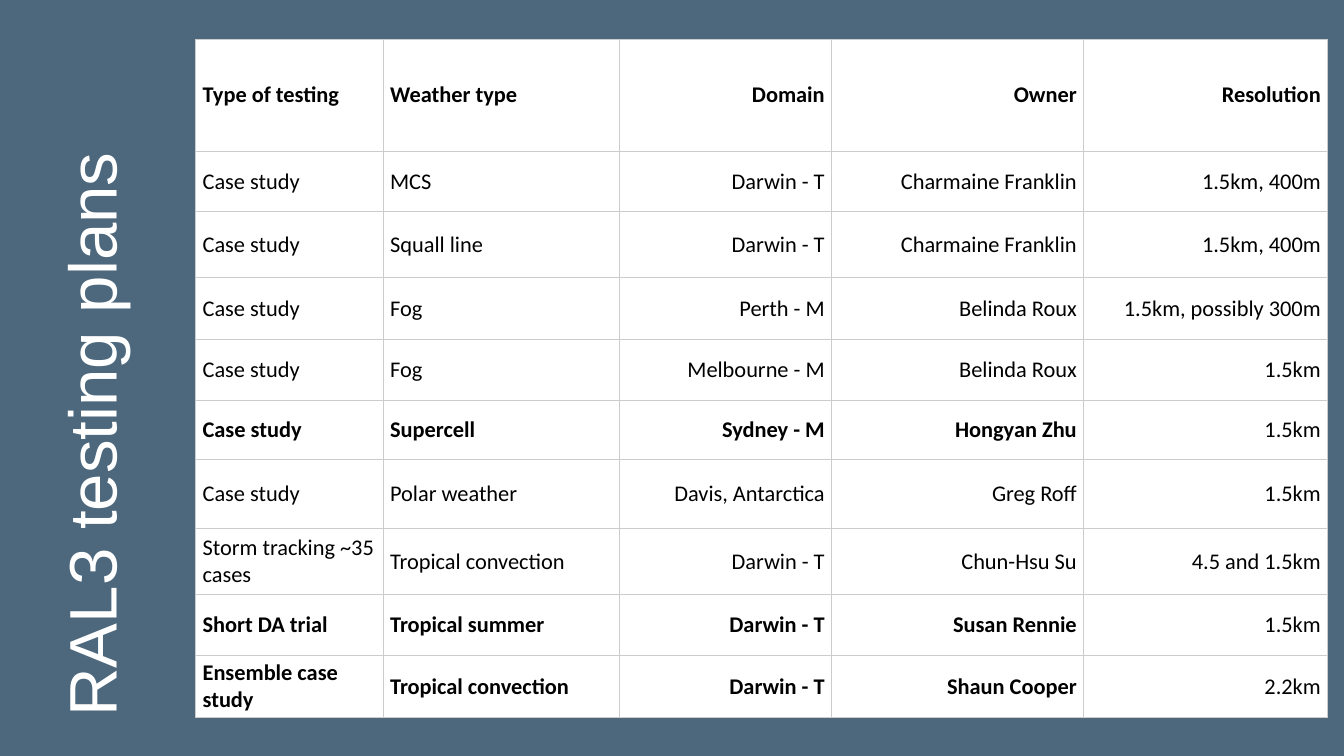
from lxml.etree import SubElement
from pptx import Presentation
from pptx.dml.color import RGBColor
from pptx.enum.text import MSO_ANCHOR, MSO_AUTO_SIZE, PP_ALIGN
from pptx.oxml.ns import qn
from pptx.util import Inches, Pt

TITLE = "RAL3 testing plans"
PLANS = [
    ("Type of testing", "Weather type", "Domain", "Owner", "Resolution"),
    ("Case study", "MCS", "Darwin - T", "Charmaine Franklin", "1.5km, 400m"),
    ("Case study", "Squall line", "Darwin - T", "Charmaine Franklin", "1.5km, 400m"),
    ("Case study", "Fog", "Perth - M", "Belinda Roux", "1.5km, possibly 300m"),
    ("Case study", "Fog", "Melbourne - M", "Belinda Roux", "1.5km"),
    ("Case study", "Supercell", "Sydney - M", "Hongyan Zhu", "1.5km"),
    ("Case study", "Polar weather", "Davis, Antarctica", "Greg Roff", "1.5km"),
    ("Storm tracking ~35 cases", "Tropical convection", "Darwin - T", "Chun-Hsu Su", "4.5 and 1.5km"),
    ("Short DA trial", "Tropical summer", "Darwin - T", "Susan Rennie", "1.5km"),
    ("Ensemble case study", "Tropical convection", "Darwin - T", "Shaun Cooper", "2.2km"),
]
BOLD_ROWS = {5, 8, 9}
COLUMN_WIDTHS = [1.86, 2.34, 2.11, 2.5, 2.42]
ROW_HEIGHTS = [1.11, 0.6, 0.65, 0.62, 0.6, 0.59, 0.68, 0.66, 0.6, 0.62]
RESOLUTION_COLUMN = 4
BACKGROUND, WHITE, BLACK, BORDER = "4D687D", "FFFFFF", "000000", "CCCCCC"


def color(value):
    return RGBColor.from_string(value)


def style_font(font, name, size, value, bold=False):
    font.name = name
    font.size = Pt(size)
    font.bold = bold
    font.color.rgb = color(value)


def add_borders(cell):
    properties = cell._tc.get_or_add_tcPr()
    for side in ("a:lnL", "a:lnR", "a:lnT", "a:lnB"):
        line = SubElement(properties, qn(side), w=str(Pt(0.75)))
        fill = SubElement(line, qn("a:solidFill"))
        SubElement(fill, qn("a:srgbClr"), val=BORDER)


def add_title(slide):
    title = slide.shapes.title
    title.left, title.top = Inches(-1.73), Inches(3.44)
    title.width, title.height = Inches(5.83), Inches(1.51)
    title.rotation = 270
    frame = title.text_frame
    frame.text = TITLE
    frame.word_wrap = True
    frame.auto_size = MSO_AUTO_SIZE.NONE
    frame.vertical_anchor = MSO_ANCHOR.TOP
    frame.margin_left = frame.margin_right = frame.margin_bottom = 0
    frame.margin_top = Inches(0.06)
    paragraph = frame.paragraphs[0]
    paragraph.alignment = PP_ALIGN.LEFT
    style_font(paragraph.font, "Arial", 48, WHITE)


def fill_cell(cell, text, row, column):
    add_borders(cell)
    cell.fill.solid()
    cell.fill.fore_color.rgb = color(WHITE)
    cell.vertical_anchor = MSO_ANCHOR.MIDDLE
    cell.margin_left = cell.margin_right = Inches(0.07)
    cell.margin_top = cell.margin_bottom = Inches(0.03)
    cell.text = text
    paragraph = cell.text_frame.paragraphs[0]
    paragraph.alignment = PP_ALIGN.LEFT if column < 2 else PP_ALIGN.RIGHT
    bold = row == 0 or (row in BOLD_ROWS and column != RESOLUTION_COLUMN)
    style_font(paragraph.font, "Calibri", 16, BLACK, bold)


def add_plans(slide):
    table = slide.shapes.add_table(
        len(PLANS), len(COLUMN_WIDTHS), Inches(1.94), Inches(0.39),
        Inches(sum(COLUMN_WIDTHS)), Inches(sum(ROW_HEIGHTS))).table
    table.first_row = table.horz_banding = False
    for column, width in zip(table.columns, COLUMN_WIDTHS):
        column.width = Inches(width)
    for row, height in zip(table.rows, ROW_HEIGHTS):
        row.height = Inches(height)
    for row, plan in enumerate(PLANS):
        for column, text in enumerate(plan):
            fill_cell(table.cell(row, column), text, row, column)


def main():
    presentation = Presentation()
    presentation.slide_width, presentation.slide_height = Inches(13.33), Inches(7.5)
    slide = presentation.slides.add_slide(presentation.slide_layouts[5])
    slide.background.fill.solid()
    slide.background.fill.fore_color.rgb = color(BACKGROUND)
    add_plans(slide)
    add_title(slide)
    presentation.save("out.pptx")


if __name__ == "__main__":
    main()
